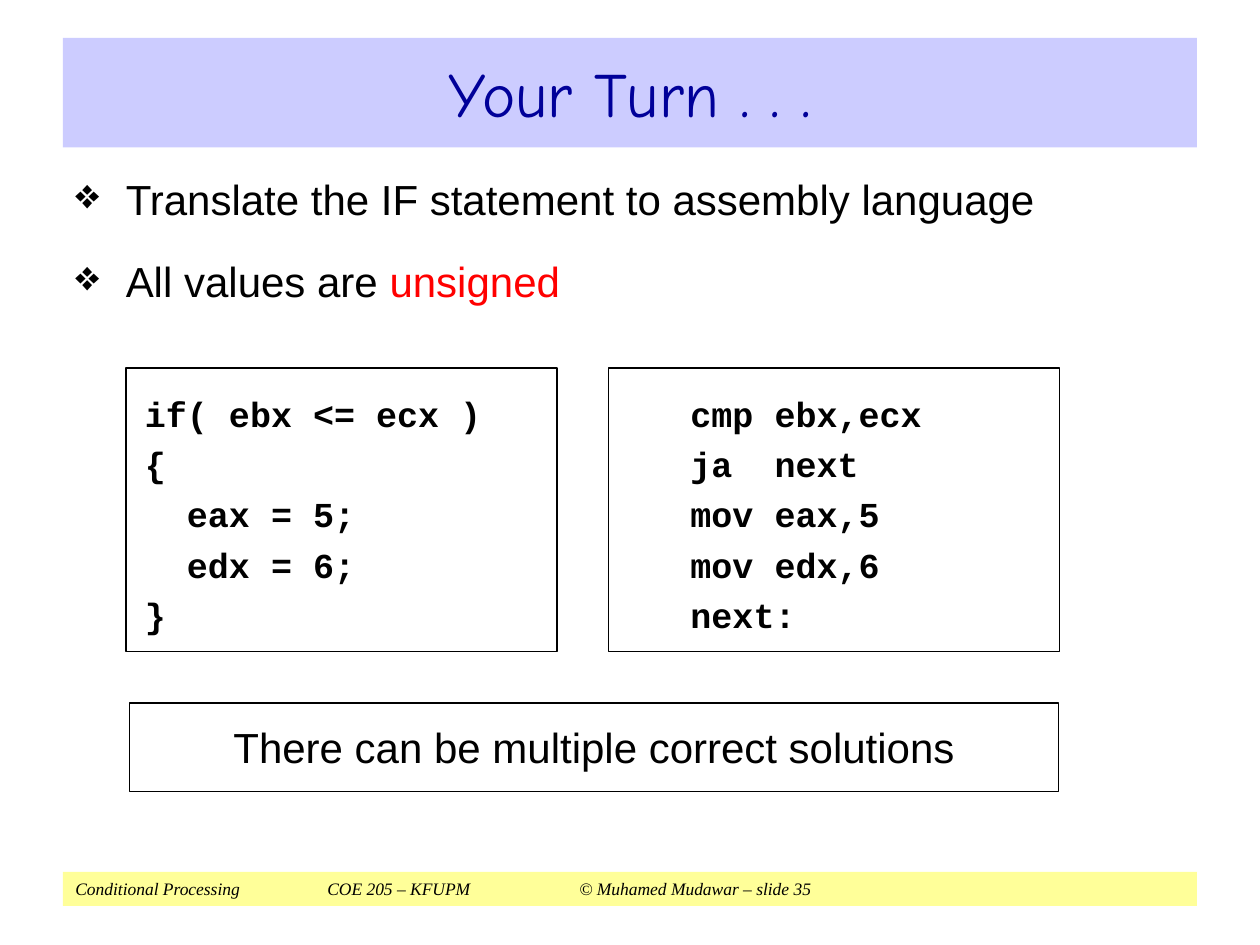
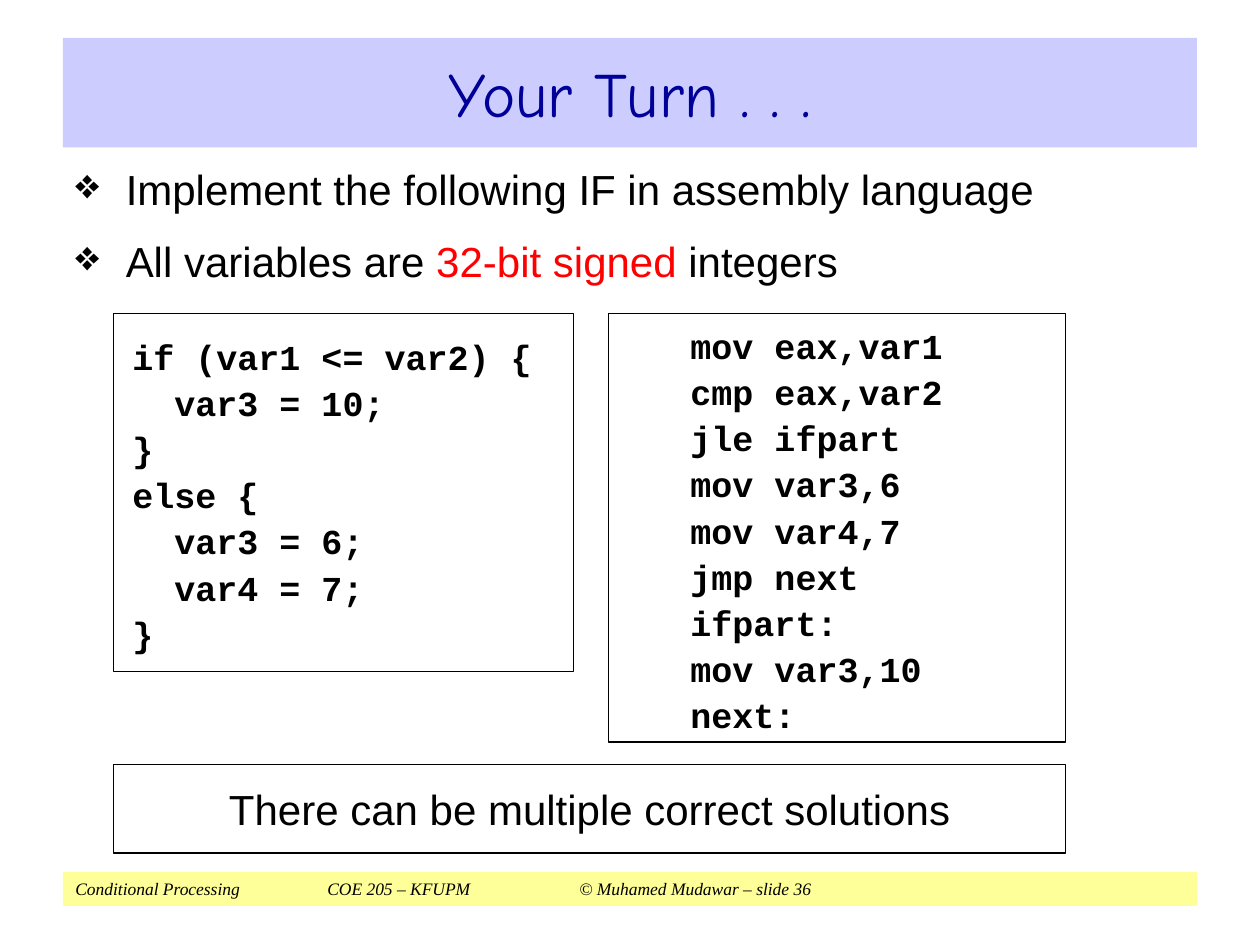
from dataclasses import dataclass

from lxml import etree
from pptx import Presentation
from pptx import util as u
from pptx.dml import color
from pptx.enum import shapes, text
from pptx.oxml import ns


@dataclass(frozen=True)
class Theme:
    """Colours, fonts and type sizes of the whole deck."""
    ink: str = "000000"
    title_ink: str = "000099"
    accent: str = "FF0000"
    title_band: str = "CCCCFF"
    footer_band: str = "FFFF99"
    title_font: str = "Comic Neue"
    body_font: str = "Arial"
    code_font: str = "Courier New"
    footer_font: str = "Times New Roman"
    title_size: int = 36
    body_size: int = 24
    code_size: int = 20
    footer_size: int = 10


class Deck:
    """Holds the theme and the slide being drawn."""

    def __init__(self, prs, theme):
        self.prs, self.theme, self.s = prs, theme, None

    # --- Building blocks ---
    def box(self, at, fill=None, line=None, inset=(0.1, 0.05), anchor="MIDDLE"):
        sp = self.s.shapes.add_shape(shapes.MSO_SHAPE.RECTANGLE,
                                     *(u.Inches(v) for v in at))
        sp.shadow.inherit = False
        if fill:
            sp.fill.solid()
            sp.fill.fore_color.rgb = color.RGBColor.from_string(fill)
        else:
            sp.fill.background()
        if line:
            sp.line.color.rgb = color.RGBColor.from_string(line)
            sp.line.width = u.Pt(0.75)
        else:
            sp.line.fill.background()
        tf = sp.text_frame
        tf.word_wrap = True
        tf.vertical_anchor = text.MSO_ANCHOR[anchor]
        tf.margin_left = tf.margin_right = u.Inches(inset[0])
        tf.margin_top = tf.margin_bottom = u.Inches(inset[1])
        return tf

    def paragraph(self, tf, i, align="LEFT", spacing=1.0, indent=0.0):
        p = tf.add_paragraph() if i else tf.paragraphs[0]
        p.alignment = text.PP_ALIGN[align]
        p.line_spacing = spacing
        p._p.get_or_add_pPr().set("marL", str(u.Inches(indent)))
        return p

    def run(self, p, words, font, size, ink=None, bold=False, italic=False):
        r = p.add_run()
        r.text = words
        r.font.name, r.font.size = font, u.Pt(size)
        r.font.bold, r.font.italic = bold, italic
        r.font.color.rgb = color.RGBColor.from_string(ink or self.theme.ink)

    # --- Slide frame: title band and footer band ---
    def slide(self, title, number):
        t = self.theme
        self.s = self.prs.slides.add_slide(self.prs.slide_layouts[6])
        tf = self.box((0.5, 6.92, 9, 0.27), fill=t.footer_band)
        p = self.paragraph(tf, 0)
        tabs = etree.SubElement(p._p.get_or_add_pPr(), ns.qn("a:tabLst"))
        for stop in (2, 4):
            etree.SubElement(tabs, ns.qn("a:tab"), pos=str(u.Inches(stop)), algn="l")
        self.run(p, "Conditional Processing\tCOE 205 – KFUPM\t"
                    f"© Muhamed Mudawar – slide {number}",
                 t.footer_font, t.footer_size, italic=True)
        tf = self.box((0.5, 0.3, 9, 0.87), fill=t.title_band)
        self.run(self.paragraph(tf, 0, "CENTER"), title,
                 t.title_font, t.title_size, t.title_ink)

    # --- Content ---
    def bullets(self, items, height, spacing):
        """Each item is a list of words; every second entry is accented."""
        t = self.theme
        tf = self.box((0.5, 1.25, 9, height), anchor="TOP")
        for i, item in enumerate(items):
            p = self.paragraph(tf, i, spacing=spacing, indent=0.4)
            p.space_before = u.Pt(12)
            pPr = p._p.get_or_add_pPr()
            pPr.set("indent", str(-u.Inches(0.4)))
            etree.SubElement(pPr, ns.qn("a:buChar"), char="❖")
            for k, words in enumerate(item):
                self.run(p, words, t.body_font, t.body_size,
                         t.accent if k % 2 else t.ink)

    def code(self, at, lines, spacing, indent=0.0):
        t = self.theme
        tf = self.box(at, line=t.ink, inset=(0.15, 0))
        for i, line in enumerate(lines.splitlines()):
            p = self.paragraph(tf, i, spacing=spacing, indent=indent)
            self.run(p, line, t.code_font, t.code_size, bold=True)

    def notice(self, at, words):
        t = self.theme
        tf = self.box(at, line=t.ink, inset=(0.1, 0.15))
        self.run(self.paragraph(tf, 0, "CENTER"), words, t.body_font, t.body_size)


# --- Code listings ---
UNSIGNED_IF = """\
if( ebx <= ecx )
{
  eax = 5;
  edx = 6;
}"""

UNSIGNED_ASM = """\
cmp ebx,ecx
ja  next
mov eax,5
mov edx,6
next:"""

SIGNED_IF = """\
if (var1 <= var2) {
  var3 = 10;
}
else {
  var3 = 6;
  var4 = 7;
}"""

SIGNED_ASM = """\
mov eax,var1
cmp eax,var2
jle ifpart
mov var3,6
mov var4,7
jmp next
ifpart:
mov var3,10
next:"""

TITLE = "Your Turn . . ."
NOTICE = "There can be multiple correct solutions"


def main():
    prs = Presentation()
    prs.slide_width, prs.slide_height = u.Inches(10), u.Inches(7.5)
    deck = Deck(prs, Theme())

    # Unsigned comparison
    deck.slide(TITLE, 35)
    deck.bullets([["Translate the IF statement to assembly language"],
                  ["All values are ", "unsigned"]], 1.43, 1.2)
    deck.code((4.83, 2.92, 3.58, 2.25), UNSIGNED_ASM, 1.2, indent=0.5)
    deck.code((1, 2.92, 3.42, 2.25), UNSIGNED_IF, 1.2)
    deck.notice((1.03, 5.58, 7.37, 0.7), NOTICE)

    # Signed comparison
    deck.slide(TITLE, 36)
    deck.bullets([["Implement the following IF in assembly language"],
                  ["All variables are ", "32-bit signed", " integers"]], 1.24, 1.0)
    deck.code((4.83, 2.49, 3.63, 3.4), SIGNED_ASM, 1.1, indent=0.5)
    deck.code((0.9, 2.49, 3.65, 2.84), SIGNED_IF, 1.1)
    deck.notice((0.9, 6.07, 7.56, 0.7), NOTICE)

    prs.save("out.pptx")


if __name__ == "__main__":
    main()
